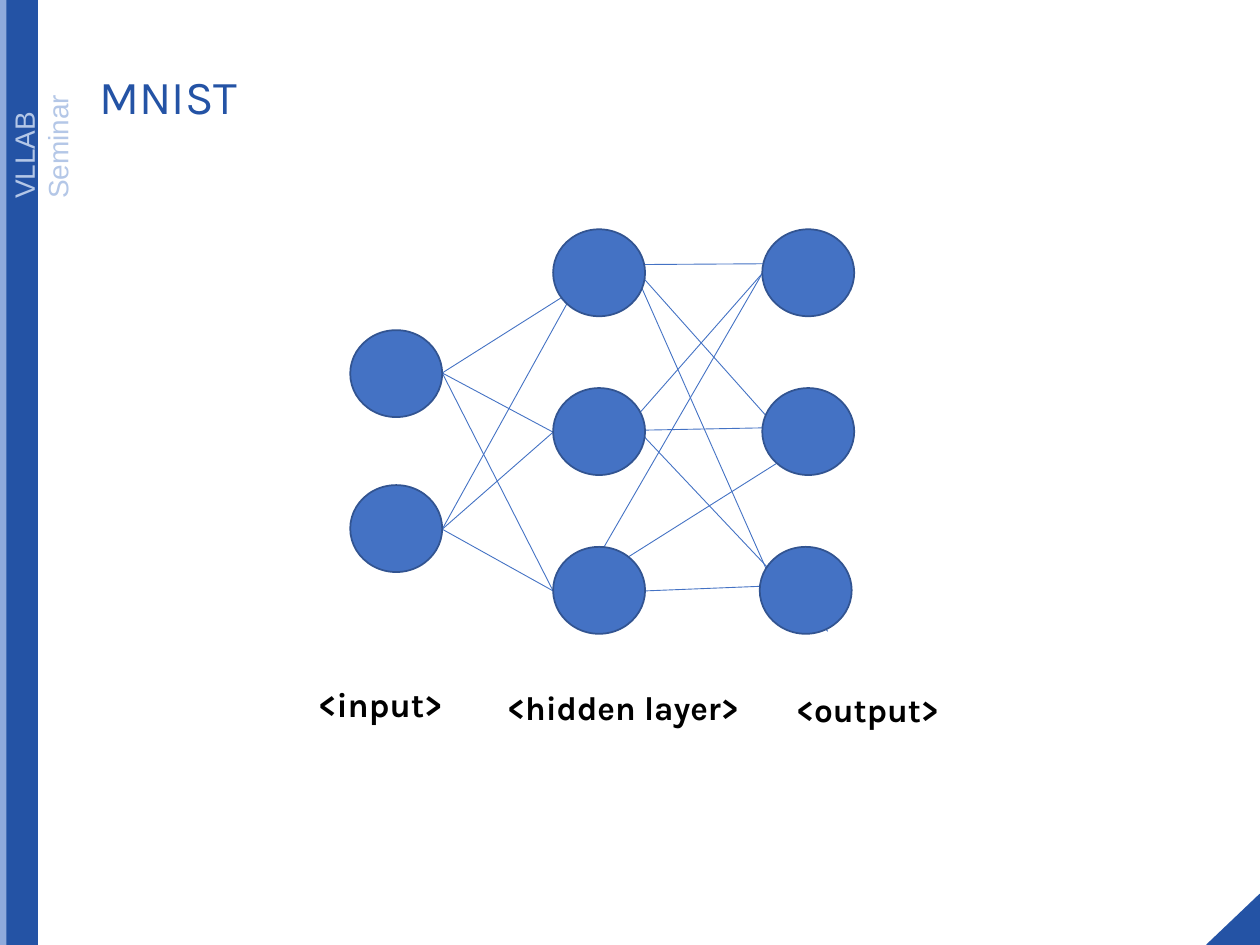
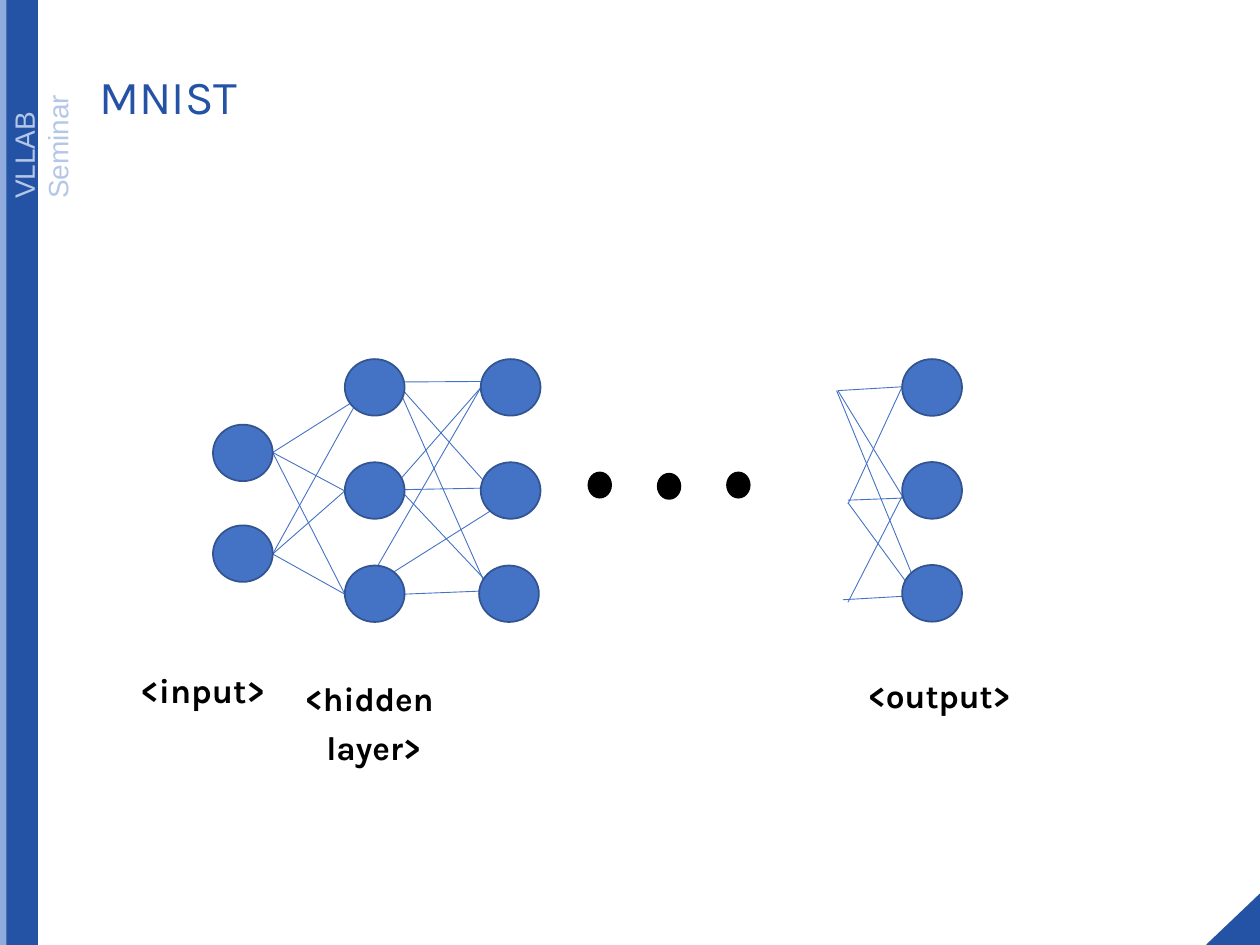
from lxml.etree import SubElement
from pptx import Presentation
from pptx.dml.color import RGBColor
from pptx.enum.shapes import MSO_CONNECTOR as Connector, MSO_SHAPE as Shape
from pptx.enum.text import MSO_ANCHOR as Anchor, MSO_AUTO_SIZE as AutoSize, PP_ALIGN as Align
from pptx.oxml.ns import qn
from pptx.util import Inches, Pt

COLORS = {
    "band": "2453A5", "edge_band": "8FAADC", "seminar": "B4C7E7",
    "node": "4472C4", "node_rim": "325491", "ink": "000000",
}
COLUMNS, ROWS = 100, 75
NODE_SIZE = (7.3, 6.9)
INPUT_NODES = [(27.8, 26.2), (27.8, 38.5)]
HIDDEN_NODES = [(43.9, 18.2 + 12.6 * rank) for rank in range(3)]
OUTPUT_NODES = [(60.5, 18.2), (60.5, 30.8), (60.3, 43.4)]
INPUT_EDGES = [
    (35.1, 29.6, 47.6, 21.7), (35.1, 29.6, 43.9, 34.3), (35.1, 29.6, 43.9, 46.9),
    (35.1, 42.0, 45.0, 24.1), (35.1, 42.0, 43.9, 34.3), (35.1, 42.0, 43.9, 46.9),
]
OUTPUT_EDGES = [
    (49.9, 20.5, 62.6, 49.2), (50.0, 21.0, 66.2, 20.9), (48.1, 34.2, 63.6, 33.9),
    (51.2, 46.9, 66.2, 46.3), (51.0, 22.0, 61.7, 34.0), (48.9, 34.9, 60.5, 21.7),
    (50.6, 34.1, 65.7, 50.1), (46.5, 45.9, 60.5, 21.7), (48.6, 45.0, 61.6, 36.8),
]
LAST_LAYER_EDGES = [
    (71.6, 30.7, 66.5, 31.0), (72.3, 40.5, 66.5, 31.0), (71.6, 30.7, 67.3, 40.0),
    (72.4, 39.5, 67.3, 39.7), (73.0, 47.1, 66.4, 31.0), (73.1, 47.8, 67.3, 39.9),
    (71.8, 39.0, 67.3, 47.8), (72.1, 47.3, 66.9, 47.6),
]


class Deck:
    """Hold the shared style and the slide being filled, measured in grid columns and rows."""

    def __init__(self):
        self.prs = Presentation()
        self.prs.slide_width, self.prs.slide_height = Inches(10), Inches(7.5)

    def grid(self, *lengths):
        """Turn alternating column and row lengths into slide units."""
        units = (self.prs.slide_width / COLUMNS, self.prs.slide_height / ROWS)
        return [round(length * units[order % 2]) for order, length in enumerate(lengths)]

    def style(self, paragraph, color, spacing, align=Align.LEFT, **font):
        """Format one paragraph."""
        formats = {"line_spacing": spacing, "alignment": align}
        for target, values in ((paragraph, formats), (paragraph.font, font)):
            for key, value in values.items():
                setattr(target, key, value)
        paragraph.font.color.rgb = RGBColor.from_string(COLORS[color])

    def new_slide(self, title):
        """Add a slide with its bands, seminar name, corner and title."""
        self.slide = self.prs.slides.add_slide(self.prs.slide_layouts[5])
        self.shape(Shape.RECTANGLE, (0, 0, 2.5, ROWS), "edge_band")
        self.shape(Shape.RECTANGLE, (0.5, 0, 2.5, ROWS), "band")
        seminar = self.text(["VLLAB Seminar"], (-6.5, 6.5, 16.8, 3.7), "seminar", 1,
                            size=Pt(16), name="Arial")
        corner = self.shape(Shape.RIGHT_TRIANGLE, (95.9, 70.9, 4, 4.2), "band", "band")
        for turned in (seminar, corner):
            turned.rotation = 270
        heading = self.slide.shapes.title
        heading.left, heading.top, heading.width, heading.height = self.grid(6.9, 3.3, 86.2, 9.1)
        heading.text_frame.text = title
        heading.text_frame.vertical_anchor = Anchor.MIDDLE
        self.style(heading.text_frame.paragraphs[0], "band", 0.9, size=Pt(27), name="Karla")

    def shape(self, kind, box, fill, rim=None):
        """Add a filled preset shape, with a rim if a colour is named."""
        item = self.slide.shapes.add_shape(kind, *self.grid(*box))
        item.shadow.inherit = False
        item.fill.solid()
        item.fill.fore_color.rgb = RGBColor.from_string(COLORS[fill])
        if rim:
            item.line.color.rgb = RGBColor.from_string(COLORS[rim])
            item.line.width = Pt(1)
        else:
            item.line.fill.background()
        return item

    def text(self, lines, box, color, spacing, **formats):
        """Add a wrapped text box with one paragraph per line."""
        item = self.slide.shapes.add_textbox(*self.grid(*box))
        frame = item.text_frame
        frame.word_wrap, frame.auto_size = True, AutoSize.NONE
        frame.text = "\n".join(lines)
        for paragraph in frame.paragraphs:
            self.style(paragraph, color, spacing, **formats)
        for paragraph in frame.paragraphs[1:]:
            paragraph.space_before = Pt(7.5)
        return item

    def label(self, lines, box, size=19, spacing=0.9):
        """Name a layer below the network."""
        self.text(lines, box, "ink", spacing, align=Align.CENTER,
                  size=Pt(size), name="Karla", bold=True)

    def edge(self, ends):
        """Draw a thin connection."""
        line = self.slide.shapes.add_connector(Connector.STRAIGHT, *self.grid(*ends))
        line.line.color.rgb = RGBColor.from_string(COLORS["node"])
        line.line.width = Pt(0.5)
        SubElement(line._element.spPr, qn("a:effectLst"))

    def layers(self, edges, nodes, node_size):
        """Draw connections with the nodes in front of them."""
        for ends in edges:
            self.edge(ends)
        for corner in nodes:
            self.shape(Shape.OVAL, (*corner, *node_size), "node", "node_rim")

    def network(self, left=27.8, top=18.2, scale=1):
        """Draw the three-layer network from a top left corner at a scale."""
        def place(points):
            starts = (27.8, 18.2)
            return [tuple((left, top)[i % 2] + scale * (value - starts[i % 2])
                          for i, value in enumerate(point)) for point in points]

        self.layers(place(INPUT_EDGES + OUTPUT_EDGES),
                    place(INPUT_NODES + HIDDEN_NODES + OUTPUT_NODES),
                    [scale * side for side in NODE_SIZE])


def main():
    """Build both slides."""
    deck = Deck()
    deck.new_slide("MNIST")
    deck.network()
    deck.label(["<input>"], (23.1, 54.1, 14.2, 4.2), size=19.4)
    deck.label(["<hidden layer>"], (37.2, 54.4, 24.5, 7.1))
    deck.label(["<output>"], (60.8, 54.8, 16.1, 3.5), spacing=0.8)

    deck.new_slide("MNIST")
    deck.network(16.9, 28.5, 0.65)
    deck.label(["<input>"], (9, 53, 14.2, 4.2), size=19.4)
    deck.label(["<hidden ", "layer>"], (21.6, 53.7, 16.1, 8.1))
    deck.label(["<output>"], (66.5, 53.7, 16.1, 3.5), spacing=0.8)
    last_layer = [(71.6, 28.5 + 8.17 * rank) for rank in range(3)]
    deck.layers(LAST_LAYER_EDGES, last_layer, (4.75, 4.5))
    for rank, top in enumerate((37.5, 37.6, 37.5)):
        deck.shape(Shape.OVAL, (46.7 + 5.5 * rank, top, 1.8, 2), "ink", "ink")

    deck.prs.save("out.pptx")


if __name__ == "__main__":
    main()
